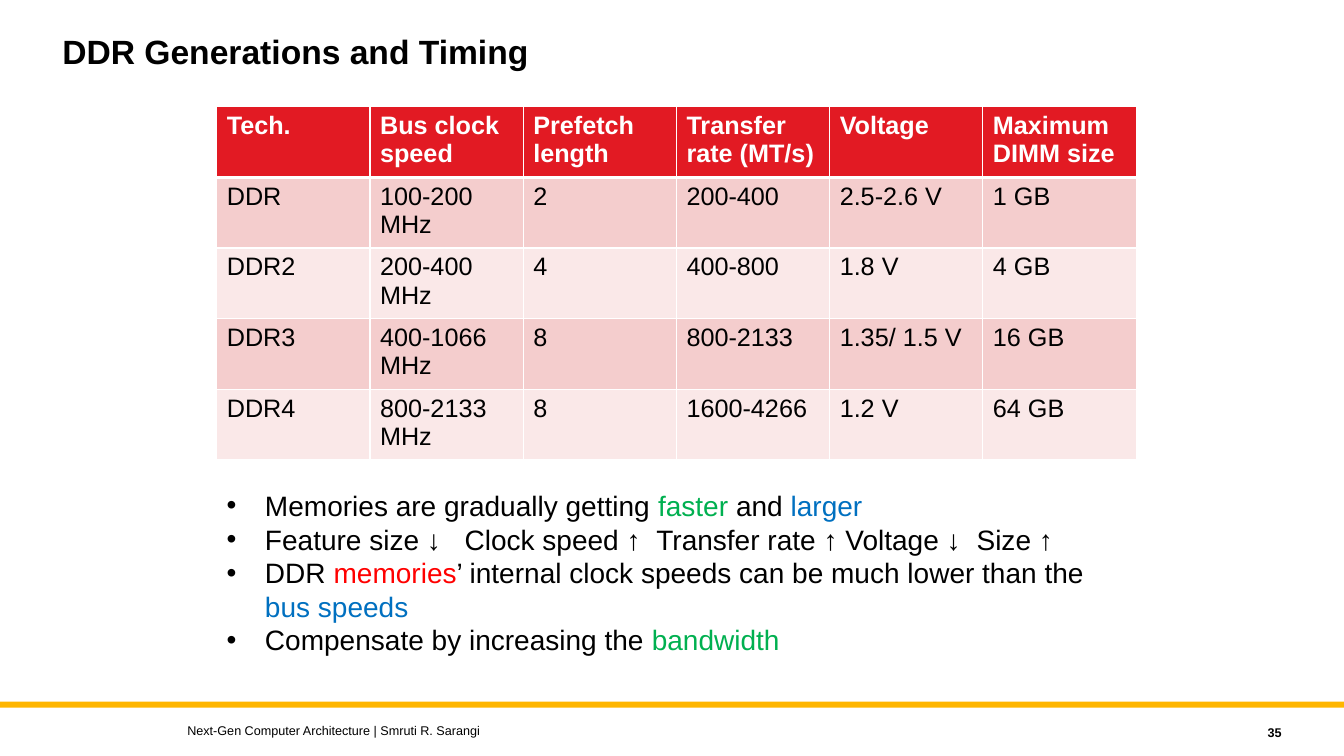
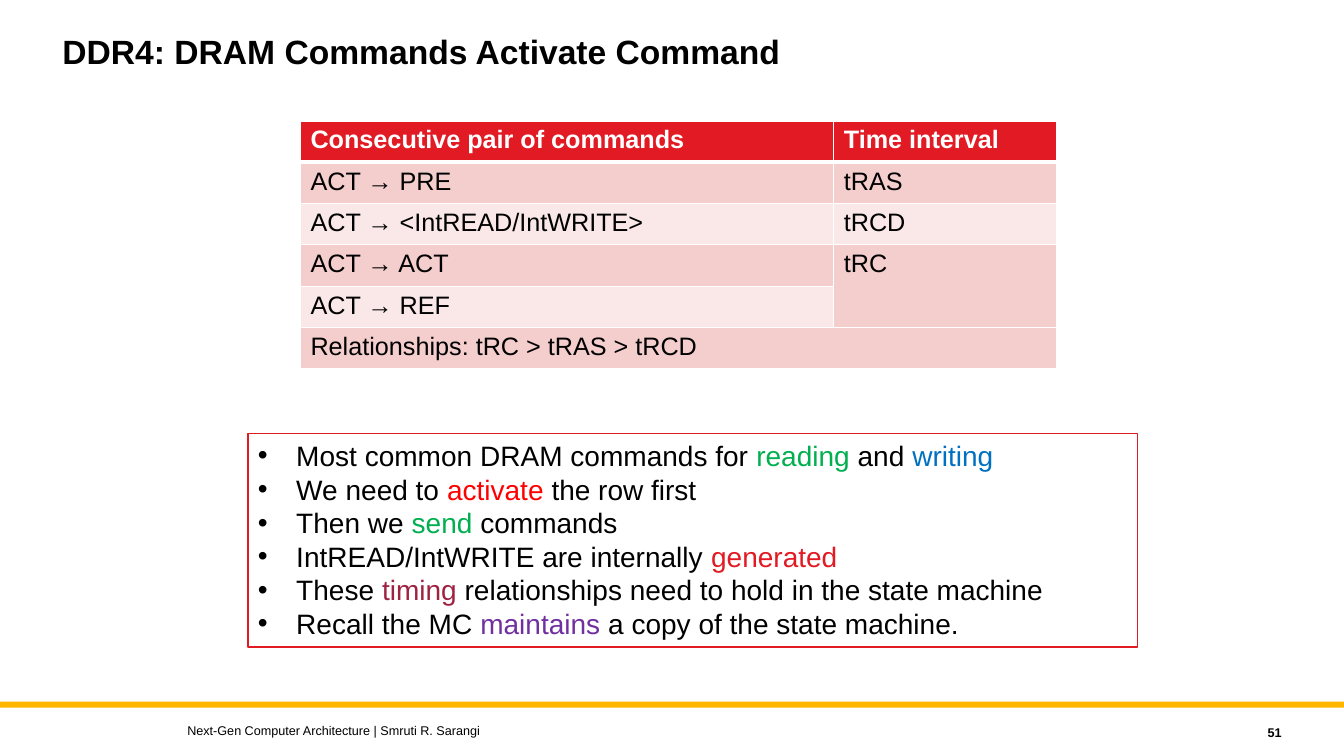
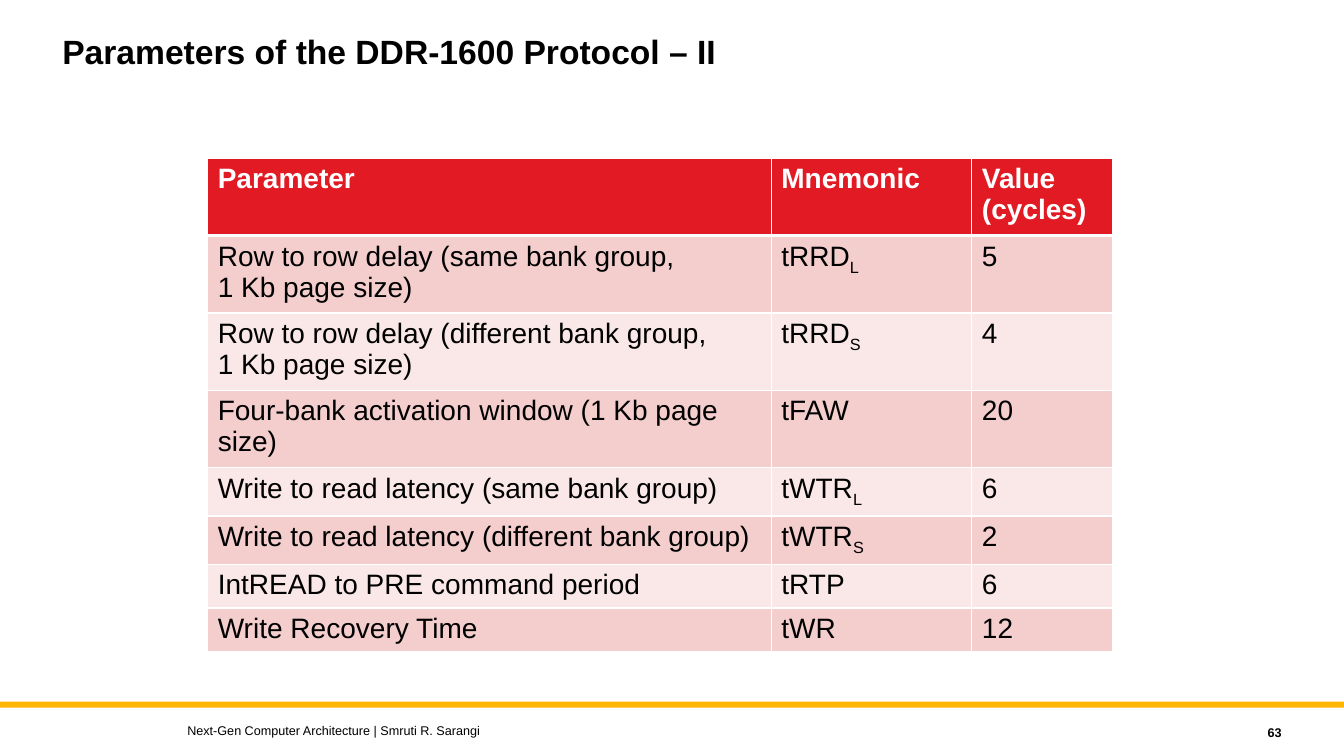
"""Build three slides on DDR memory generations, commands and timing."""
from lxml import etree
from pptx import Presentation
from pptx.dml.color import RGBColor
from pptx.enum.shapes import MSO_SHAPE
from pptx.enum.text import MSO_ANCHOR, PP_ALIGN
from pptx.oxml.ns import qn
from pptx.util import Pt

PX = 9144
PAGE_WIDTH, PAGE_HEIGHT = 1333, 750
FONT = "Arial"
BLACK = RGBColor(0x00, 0x00, 0x00)
WHITE = RGBColor(0xFF, 0xFF, 0xFF)
AMBER = RGBColor(0xFF, 0xB6, 0x00)
CRIMSON = RGBColor(0xE2, 0x1A, 0x23)
ROSE = RGBColor(0xF4, 0xCD, 0xCD)
BLUSH = RGBColor(0xFA, 0xE8, 0xE8)
GREEN = RGBColor(0x00, 0xB0, 0x50)
BLUE = RGBColor(0x00, 0x70, 0xC0)
RED = RGBColor(0xFF, 0x00, 0x00)
MAROON = RGBColor(0x9F, 0x22, 0x41)
PURPLE = RGBColor(0x70, 0x30, 0xA0)
RECTANGLE = MSO_SHAPE.RECTANGLE
TOP, MIDDLE = MSO_ANCHOR.TOP, MSO_ANCHOR.MIDDLE
LEFT, RIGHT = PP_ALIGN.LEFT, PP_ALIGN.RIGHT
FOOTER = "Next-Gen Computer Architecture | Smruti R. Sarangi"
BULLET_SIZE, BULLET_LINE, BULLET_INDENT = 20, 24, 38
WIDE_GAP = (" ", BLACK, 1112)
GAP = (" ", BLACK, 556)

GENERATIONS = [
    ["Tech.", "Bus clock speed", "Prefetch length", "Transfer rate (MT/s)", "Voltage",
     "Maximum DIMM size"],
    ["DDR", "100-200 MHz", "2", "200-400", "2.5-2.6 V", "1 GB"],
    ["DDR2", "200-400 MHz", "4", "400-800", "1.8 V", "4 GB"],
    ["DDR3", "400-1066 MHz", "8", "800-2133", "1.35/ 1.5 V", "16 GB"],
    ["DDR4", "800-2133 MHz", "8", "1600-4266", "1.2 V", "64 GB"],
]
GENERATION_NOTES = [
    ["Memories are gradually getting ", ("faster ", GREEN), "and ", ("larger", BLUE)],
    ["Feature size ↓", WIDE_GAP, "Clock speed ↑", GAP, "Transfer rate ↑ Voltage ↓", GAP,
     "Size ↑"],
    ["DDR ", ("memories", RED), "’ internal clock speeds can be much lower than the", "\n",
     ("bus speeds", BLUE)],
    ["Compensate by increasing the ", ("bandwidth", GREEN)],
]
COMMANDS = [
    ["Consecutive pair of commands", "Time interval"],
    ["ACT → PRE", "tRAS"],
    ["ACT → <IntREAD/IntWRITE>", "tRCD"],
    ["ACT → ACT", "tRC"],
    ["ACT → REF", ""],
    ["Relationships: tRC > tRAS > tRCD", ""],
]
COMMAND_NOTES = [
    ["Most common DRAM commands for ", ("reading", GREEN), " and ", ("writing", BLUE)],
    ["We need to ", ("activate", RED), " the row first"],
    ["Then we ", ("send", GREEN), " commands"],
    ["IntREAD/IntWRITE are internally ", ("generated", CRIMSON)],
    ["These ", ("timing", MAROON), " relationships need to hold in the state machine"],
    ["Recall the MC ", ("maintains", PURPLE), " a copy of the state machine."],
]
PARAMETERS = [
    ["Parameter", "Mnemonic", "Value\n(cycles)"],
    ["Row to row delay (same bank group,\n1 Kb page size)", "tRRD_L", "5"],
    ["Row to row delay (different bank group,\n1 Kb page size)", "tRRD_S", "4"],
    ["Four-bank activation window (1 Kb page size)", "tFAW", "20"],
    ["Write to read latency (same bank group)", "tWTR_L", "6"],
    ["Write to read latency (different bank group)", "tWTR_S", "2"],
    ["IntREAD to PRE command period", "tRTP", "6"],
    ["Write Recovery Time", "tWR", "12"],
]


def scaled(*lengths):
    """Turn px lengths into EMU."""
    return [length * PX for length in lengths]


def style(para, size, colour=BLACK, bold=False, align=LEFT):
    """Set the font and alignment of a whole paragraph."""
    para.alignment = align
    font = para.font
    font.name, font.size, font.bold = FONT, Pt(size), bold
    font.color.rgb = colour


def add_label(page, box, text, size, bold=False, align=LEFT, anchor=MIDDLE):
    """Place one line of text and return its paragraph."""
    frame = page.shapes.add_textbox(*scaled(*box)).text_frame
    frame.word_wrap = True
    frame.vertical_anchor = anchor
    para = frame.paragraphs[0]
    para.text = text
    style(para, size, bold=bold, align=align)
    return para


def add_panel(page, box, fill, line=None):
    """Place a flat rectangle with an optional outline."""
    panel = page.shapes.add_shape(RECTANGLE, *scaled(*box))
    panel.shadow.inherit = False
    panel.fill.solid()
    panel.fill.fore_color.rgb = fill
    if line is None:
        panel.line.fill.background()
    else:
        panel.line.color.rgb = line
        panel.line.width = Pt(1)
    return panel


def add_page(deck, title, number):
    """Add a blank page with the shared title, band and footer."""
    page = deck.slides.add_slide(deck.slide_layouts[6])
    add_panel(page, (0, 696, PAGE_WIDTH, 6), AMBER)
    add_label(page, (52, 30, 1000, 90), title, 24, bold=True, anchor=TOP).line_spacing = 0.9
    add_label(page, (176, 712, 800, 25), FOOTER, 9)
    add_label(page, (1141, 714, 140, 25), str(number), 9, bold=True, align=RIGHT)
    return page


def add_border(cell, side, points):
    """Draw one white edge of a table cell."""
    edge = etree.SubElement(cell._tc.get_or_add_tcPr(), qn(f"a:ln{side}"), w=str(Pt(points)))
    fill = etree.SubElement(edge, qn("a:solidFill"))
    etree.SubElement(fill, qn("a:srgbClr"), val=str(WHITE))


def fill_cell(cell, text, size, row):
    """Write a cell, with a subscript after any underscore, and set its look."""
    for side in "LRTB":
        thick = (row, side) in ((0, "B"), (1, "T"))
        add_border(cell, side, 3 if thick else 1)
    cell.fill.solid()
    cell.fill.fore_color.rgb = CRIMSON if row == 0 else (BLUSH, ROSE)[row % 2]
    base, _, subscript = text.partition("_")
    cell.text = base
    if subscript:
        span = cell.text_frame.paragraphs[0].add_run()
        span.text = subscript
        span._r.get_or_add_rPr().set("baseline", "-25000")
    for para in cell.text_frame.paragraphs:
        style(para, size, WHITE if row == 0 else BLACK, bold=row == 0)


def add_grid(page, corner, widths, row_height, rows, size):
    """Place a red banded table and return it."""
    box = (*corner, sum(widths), row_height * len(rows))
    table = page.shapes.add_table(len(rows), len(widths), *scaled(*box)).table
    table.first_row = table.horz_banding = False
    for column, width in zip(table.columns, scaled(*widths)):
        column.width = width
    for row, texts in enumerate(rows):
        for column, text in enumerate(texts):
            fill_cell(table.cell(row, column), text, size, row)
    return table


def add_spans(para, spans):
    """Write plain, coloured or widely tracked spans into a paragraph."""
    for item in spans:
        if item == "\n":
            para.add_line_break()
            continue
        text, colour, tracking = item if len(item) == 3 and isinstance(item, tuple) else (
            (*item, 0) if isinstance(item, tuple) else (item, BLACK, 0))
        span = para.add_run()
        span.text = text
        if colour != BLACK:
            span.font.color.rgb = colour
        if tracking:
            span._r.get_or_add_rPr().set("spc", str(tracking))


def write_bullets(frame, notes, first_line=1):
    """Write a bulleted list whose first line may be taller."""
    frame.word_wrap = True
    frame.vertical_anchor = TOP
    for index, spans in enumerate(notes):
        para = frame.add_paragraph() if index else frame.paragraphs[0]
        para.line_spacing = Pt(BULLET_LINE * (1 if index else first_line))
        props = para._p.get_or_add_pPr()
        props.set("marL", str(BULLET_INDENT * PX))
        props.set("indent", str(-BULLET_INDENT * PX))
        etree.SubElement(props, qn("a:buFont"), typeface=FONT)
        etree.SubElement(props, qn("a:buChar"), char="•")
        add_spans(para, spans)
        style(para, BULLET_SIZE)


def build_generations(deck):
    """Compare the DDR generations."""
    page = add_page(deck, "DDR Generations and Timing", 35)
    add_grid(page, (215, 106), [152] * 6, 49, GENERATIONS, 18)
    notes = page.shapes.add_textbox(*scaled(215, 463, 893, 195))
    write_bullets(notes.text_frame, GENERATION_NOTES, first_line=1.5)


def build_commands(deck):
    """Show the intervals between DRAM commands."""
    page = add_page(deck, "DDR4: DRAM Commands Activate Command", 51)
    table = add_grid(page, (298, 120), [529, 221], 41, COMMANDS, 18)
    table.cell(3, 1).merge(table.cell(4, 1))
    table.cell(5, 0).merge(table.cell(5, 1))
    panel = add_panel(page, (246, 430, 882, 212), WHITE, CRIMSON)
    write_bullets(panel.text_frame, COMMAND_NOTES)


def build_parameters(deck):
    """List the timing parameters of the protocol."""
    page = add_page(deck, "Parameters of the DDR-1600 Protocol – II", 63)
    add_grid(page, (206, 157), [559, 199, 140], 41, PARAMETERS, 20)


def main():
    """Build and save the deck."""
    deck = Presentation()
    deck.slide_width, deck.slide_height = scaled(PAGE_WIDTH, PAGE_HEIGHT)
    build_generations(deck)
    build_commands(deck)
    build_parameters(deck)
    deck.save("out.pptx")


if __name__ == "__main__":
    main()
